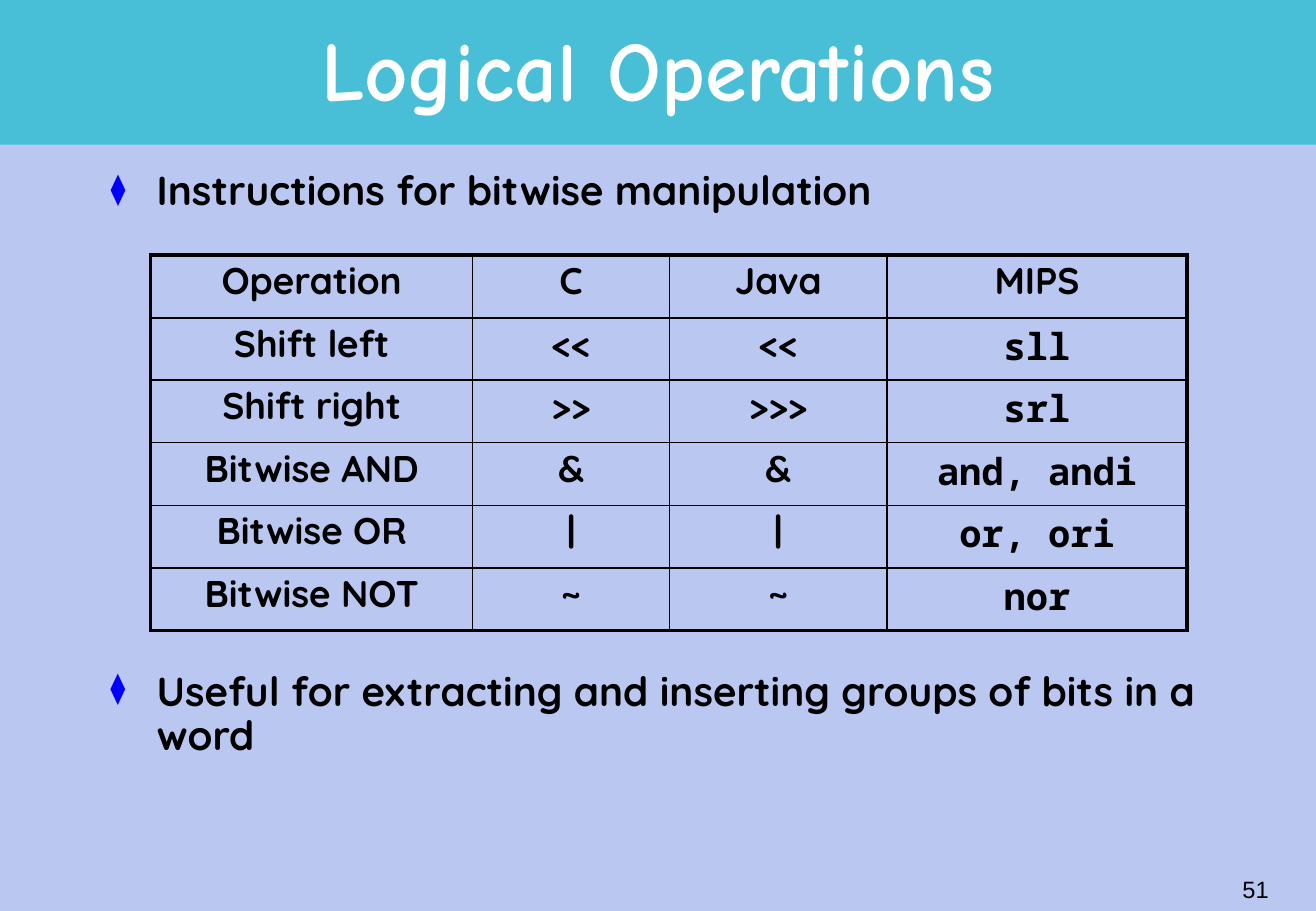
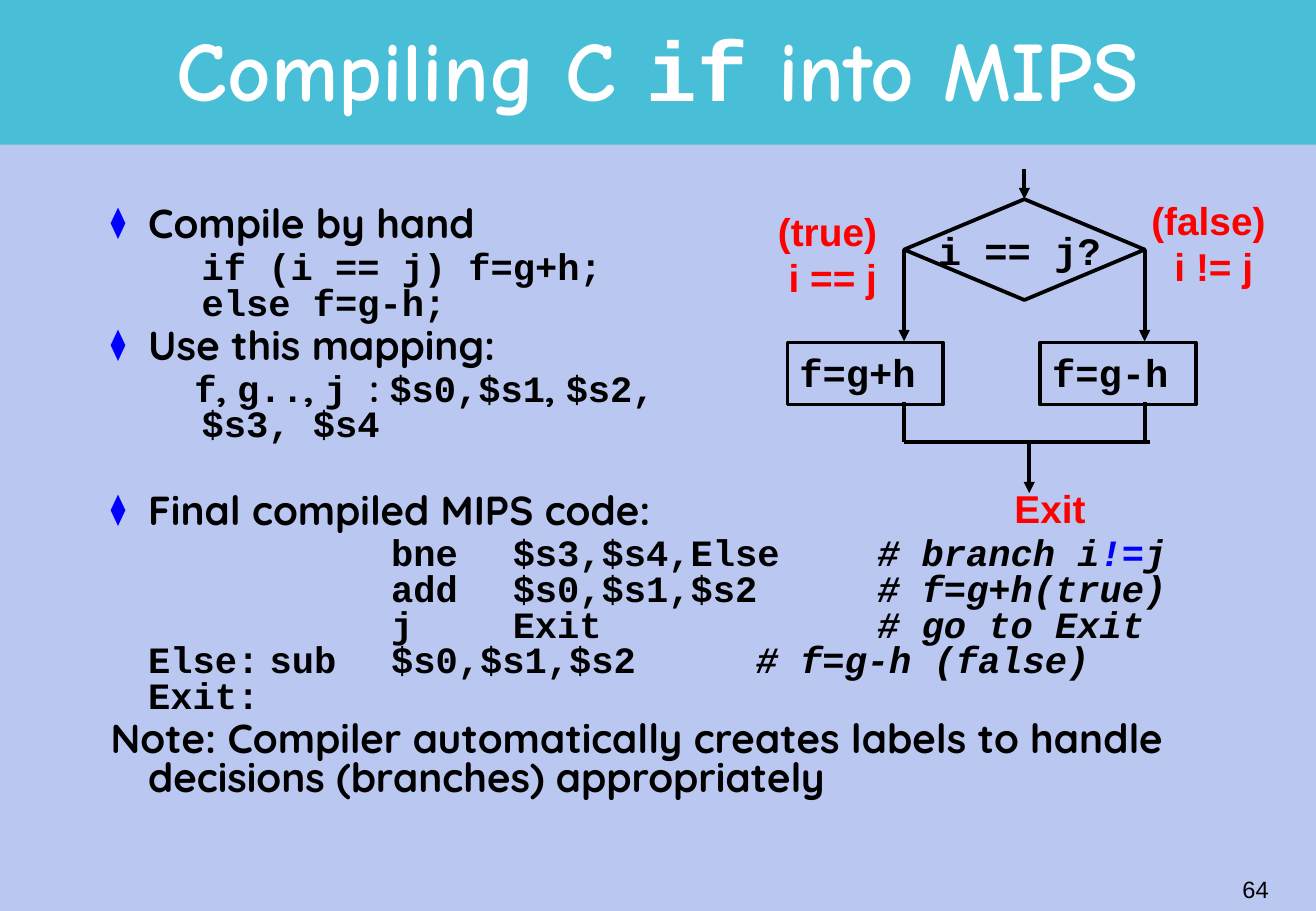
from dataclasses import dataclass

from lxml import etree
from pptx import Presentation
from pptx.dml.color import RGBColor
from pptx.enum.shapes import MSO_CONNECTOR, MSO_SHAPE
from pptx.enum.text import MSO_ANCHOR, MSO_AUTO_SIZE, PP_ALIGN
from pptx.oxml.ns import qn
from pptx.util import Emu, Pt

LEFT, CENTER, RIGHT = PP_ALIGN.LEFT, PP_ALIGN.CENTER, PP_ALIGN.RIGHT
TOP, MIDDLE = MSO_ANCHOR.TOP, MSO_ANCHOR.MIDDLE
RECTANGLE, DECISION = MSO_SHAPE.RECTANGLE, MSO_SHAPE.FLOWCHART_DECISION
STRAIGHT = MSO_CONNECTOR.STRAIGHT
NO_AUTOFIT = MSO_AUTO_SIZE.NONE
EMU_PER_PX = 9144  # 100 px to the inch
SLIDE_WIDTH, SLIDE_HEIGHT = 1083, 750


@dataclass(frozen=True)
class Theme:
    background: str = "BAC8F1"
    band: str = "49BFD7"
    ink: str = "000000"
    title_ink: str = "FFFFFF"
    accent: str = "0000FF"
    label_ink: str = "FF0000"
    title_font: str = "Comic Neue"
    body_font: str = "Quicksand"
    code_font: str = "Courier New"
    table_code_font: str = "Noto Sans Mono"
    label_font: str = "Arial"
    title_size: int = 50
    body_size: int = 24
    code_size: int = 22
    flow_size: int = 23
    number_size: int = 14
    thin: float = 1
    medium: float = 1.5
    thick: float = 2.25


THEME = Theme()


@dataclass(frozen=True)
class Box:
    left: int
    top: int
    width: int
    height: int


@dataclass(frozen=True)
class Span:
    text: str
    font: str = THEME.body_font
    size: int = THEME.body_size
    color: str = THEME.ink
    bold: bool = True
    italic: bool = False


@dataclass(frozen=True)
class Line:
    """One paragraph; before_percent is relative, before_points absolute."""
    spans: tuple[Span, ...]
    align: PP_ALIGN = LEFT
    spacing: float = 1.0
    before_percent: int = 0
    before_points: float = 0
    margin: int = 0
    indent: int = 0
    bullet: bool = False
    level: int = 0


@dataclass(frozen=True)
class Arrow:
    start: tuple[int, int]
    end: tuple[int, int]
    head: bool = True


TITLE_BOX = Box(81, 13, 921, 99)
NUMBER_BOX = Box(828, 707, 226, 50)
BAND_BOX = Box(0, 0, SLIDE_WIDTH, 119)

OPERATIONS = (
    ("Operation", "C", "Java", "MIPS"),
    ("Shift left", "<<", "<<", "sll"),
    ("Shift right", ">>", ">>>", "srl"),
    ("Bitwise AND", "&", "&", "and, andi"),
    ("Bitwise OR", "|", "|", "or, ori"),
    ("Bitwise NOT", "~", "~", "nor"),
)
COLUMN_WIDTHS = (265, 162, 179, 247)

FLOW_ARROWS = (
    Arrow((843, 139), (843, 164)),
    Arrow((744, 206), (744, 281)),
    Arrow((942, 206), (942, 281)),
    Arrow((744, 331), (744, 364), head=False),
    Arrow((942, 331), (942, 364), head=False),
    Arrow((744, 364), (946, 364), head=False),
    Arrow((847, 364), (847, 406)),
)


def px(value: int) -> Emu:
    return Emu(value * EMU_PER_PX)


def place(box: Box) -> tuple[Emu, ...]:
    return px(box.left), px(box.top), px(box.width), px(box.height)


def rgb(color: str) -> RGBColor:
    return RGBColor.from_string(color)


def add_xml(parent, tag: str, **attributes: str):
    return etree.SubElement(parent, qn(tag), attributes)


def write_line(paragraph, line: Line) -> None:
    paragraph.level = line.level
    paragraph.alignment = line.align
    paragraph.line_spacing = line.spacing
    paragraph.space_before = Pt(line.before_points)
    properties = paragraph._p.get_or_add_pPr()
    properties.set("marL", str(px(line.margin)))
    properties.set("indent", str(px(line.indent)))
    properties.set("defTabSz", str(px(100)))
    if line.before_percent:
        before = properties.find(qn("a:spcBef"))
        before.clear()
        add_xml(before, "a:spcPct", val=str(line.before_percent * 1000))
    if line.bullet:
        add_xml(add_xml(properties, "a:buClr"), "a:srgbClr", val=THEME.accent)
        add_xml(properties, "a:buSzPct", val="75000")
        add_xml(properties, "a:buChar", char="⧫")
    else:
        add_xml(properties, "a:buNone")
    for span in line.spans:
        run = paragraph.add_run()
        run.text = span.text
        font = run.font
        font.name, font.size = span.font, Pt(span.size)
        font.bold, font.italic = span.bold, span.italic
        font.color.rgb = rgb(span.color)


def write_frame(frame, lines: tuple[Line, ...], anchor: MSO_ANCHOR = TOP) -> None:
    frame.word_wrap = True
    frame.auto_size = NO_AUTOFIT
    frame.vertical_anchor = anchor
    for index, line in enumerate(lines):
        write_line(frame.add_paragraph() if index else frame.paragraphs[0], line)


def fill_placeholder(shape, box: Box, lines: tuple[Line, ...], anchor: MSO_ANCHOR = TOP) -> None:
    shape.left, shape.top, shape.width, shape.height = place(box)
    write_frame(shape.text_frame, lines, anchor)


def add_text(slide, box: Box, *lines: Line, anchor: MSO_ANCHOR = TOP) -> None:
    write_frame(slide.shapes.add_textbox(*place(box)).text_frame, lines, anchor)


def add_outline(slide, kind: MSO_SHAPE, box: Box, *lines: Line) -> None:
    shape = slide.shapes.add_shape(kind, *place(box))
    shape.shadow.inherit = False
    shape.fill.background()
    shape.line.color.rgb = rgb(THEME.ink)
    shape.line.width = Pt(THEME.thick)
    write_frame(shape.text_frame, lines)


def add_arrow(slide, arrow: Arrow) -> None:
    ends = [px(value) for value in arrow.start + arrow.end]
    connector = slide.shapes.add_connector(STRAIGHT, *ends)
    connector.line.color.rgb = rgb(THEME.ink)
    connector.line.width = Pt(THEME.thick)
    properties = connector._element.spPr
    if arrow.head:
        add_xml(properties.find(qn("a:ln")), "a:tailEnd", type="triangle")
    add_xml(properties, "a:effectLst")


def add_slide(presentation, title: tuple[Span, ...], number: str, body_box: Box, body: tuple[Line, ...]):
    slide = presentation.slides.add_slide(presentation.slide_layouts[1])
    heading = Line(title, align=CENTER, spacing=0.85)
    fill_placeholder(slide.shapes.title, TITLE_BOX, (heading,), MIDDLE)
    fill_placeholder(slide.placeholders[1], body_box, body)
    number_span = Span(number, THEME.label_font, THEME.number_size, bold=False)
    add_text(slide, NUMBER_BOX, Line((number_span,), align=RIGHT), anchor=MIDDLE)
    return slide


def style_master(presentation, slide) -> None:
    """Give the master its background and band; the band is made on slide and moved."""
    master = presentation.slide_master
    master.background.fill.solid()
    master.background.fill.fore_color.rgb = rgb(THEME.background)
    band = slide.shapes.add_shape(RECTANGLE, *place(BAND_BOX))
    band.shadow.inherit = False
    band.fill.solid()
    band.fill.fore_color.rgb = rgb(THEME.band)
    band.line.fill.background()
    band._element.nvSpPr.cNvPr.set("id", "20")
    master.shapes.element.insert(2, band._element)


def title_span(text: str, font: str = THEME.title_font) -> Span:
    return Span(text, font, THEME.title_size, THEME.title_ink)


def code(text: str, **style) -> Span:
    return Span(text, THEME.code_font, THEME.code_size, **style)


def bullet(text: str, margin: int, spacing: float, **style) -> Line:
    style = {"before_percent": 15} | style
    return Line((Span(text),), spacing=spacing, margin=margin, indent=-margin, bullet=True, **style)


def set_borders(cell, widths: dict[str, float]) -> None:
    properties = cell._tc.get_or_add_tcPr()
    for side, width in widths.items():
        border = add_xml(properties, f"a:ln{side}", w=str(Pt(width)))
        add_xml(add_xml(border, "a:solidFill"), "a:srgbClr", val=THEME.ink)


def add_operations_table(slide, box: Box) -> None:
    row_count, column_count = len(OPERATIONS), len(COLUMN_WIDTHS)
    table = slide.shapes.add_table(row_count, column_count, *place(box)).table
    table.first_row = table.horz_banding = False
    for column, width in zip(table.columns, COLUMN_WIDTHS):
        column.width = px(width)
    row_rules = [THEME.thick, THEME.medium] + [THEME.thin] * (row_count - 2) + [THEME.thick]
    column_rules = [THEME.thick] + [THEME.thin] * (column_count - 1) + [THEME.thick]
    for row, texts in enumerate(OPERATIONS):
        for column, text in enumerate(texts):
            cell = table.cell(row, column)
            is_code = row > 0 and column == column_count - 1
            font = THEME.table_code_font if is_code else THEME.body_font
            span = Span(text, font, THEME.code_size)
            write_line(cell.text_frame.paragraphs[0],
                       Line((span,), align=CENTER, spacing=0.9, before_percent=15))
            set_borders(cell, {"L": column_rules[column], "R": column_rules[column + 1],
                               "T": row_rules[row], "B": row_rules[row + 1]})
            cell.fill.background()


def build_operations_slide(presentation):
    slide = add_slide(presentation, (title_span("Logical Operations"),), "51", Box(81, 135, 921, 75),
                      (bullet("Instructions for bitwise manipulation", 38, 0.9),))
    add_operations_table(slide, Box(124, 210, 853, 309))
    add_text(slide, Box(81, 548, 921, 118),
             bullet("Useful for extracting and inserting groups of bits in a word", 38, 0.9))
    return slide


def code_line(*spans: Span, margin: int = 31, indent: int = 0, before: int = 0) -> Line:
    return Line(spans, spacing=0.8, before_percent=before, margin=margin, indent=indent,
                level=int(margin > 31))


def add_flowchart(slide) -> None:
    def label(*texts: str, align: PP_ALIGN = CENTER) -> list[Line]:
        return [Line((Span(text, THEME.label_font, THEME.flow_size, THEME.label_ink),), align)
                for text in texts]

    def statement(text: str) -> Line:
        return Line((Span(text, THEME.code_font, THEME.flow_size),))

    add_outline(slide, DECISION, Box(744, 164, 198, 83))
    add_text(slide, Box(762, 182, 166, 48), statement("i == j?"))
    for left, text in ((648, "f=g+h"), (856, "f=g-h")):
        add_outline(slide, RECTANGLE, Box(left, 282, 128, 51), statement(text))
    for arrow in FLOW_ARROWS:
        add_arrow(slide, arrow)
    add_text(slide, Box(933, 157, 132, 86), *label("(false) ", "i != j"))
    add_text(slide, Box(626, 166, 119, 86), *label("(true) ", "i == j"))
    add_text(slide, Box(825, 394, 84, 48), *label("Exit", align=LEFT))


def build_if_slide(presentation) -> None:
    comma = Span(", ", size=THEME.code_size)
    colon = Span(": ", size=THEME.code_size)
    body = (
        bullet("Compile by hand", 31, 0.8),
        code_line(code("if (i == j) f=g+h;"), margin=75, before=15),
        code_line(code("else f=g-h;"), margin=75),
        bullet("Use this mapping:", 31, 0.8),
        code_line(code("f"), comma, code("g.."), comma, code("j "), colon, code("$s0,$s1"), comma,
                  code("$s2,"), margin=75, indent=-6, before=15),
        code_line(code("$s3, $s4"), margin=75),
        bullet("Final compiled MIPS code:", 31, 0.8, before_percent=0, before_points=29),
        code_line(code("\t\tbne\t$s3,$s4,Else\t"), code("# branch i", italic=True),
                  code("!=", italic=True, color=THEME.accent), code("j", italic=True), before=15),
        code_line(code("\t\tadd\t$s0,$s1,$s2\t"), code("# f=g+h(true)", italic=True)),
        code_line(code("\t\tj\tExit\t\t\t"), code("# go to Exit", italic=True)),
        code_line(code("Else:\tsub\t$s0,$s1,$s2\t"), code("# f=g-h (false)", italic=True)),
        code_line(code("Exit:")),
        code_line(Span("Note: Compiler automatically creates labels to handle decisions "
                       "(branches) appropriately"), indent=-31, before=15),
    )
    title = (title_span("Compiling C "), title_span("if", THEME.code_font), title_span(" into MIPS"))
    add_flowchart(add_slide(presentation, title, "64", Box(81, 166, 921, 557), body))


def main() -> None:
    presentation = Presentation()
    presentation.slide_width, presentation.slide_height = px(SLIDE_WIDTH), px(SLIDE_HEIGHT)
    style_master(presentation, build_operations_slide(presentation))
    build_if_slide(presentation)
    presentation.save("out.pptx")


if __name__ == "__main__":
    main()
